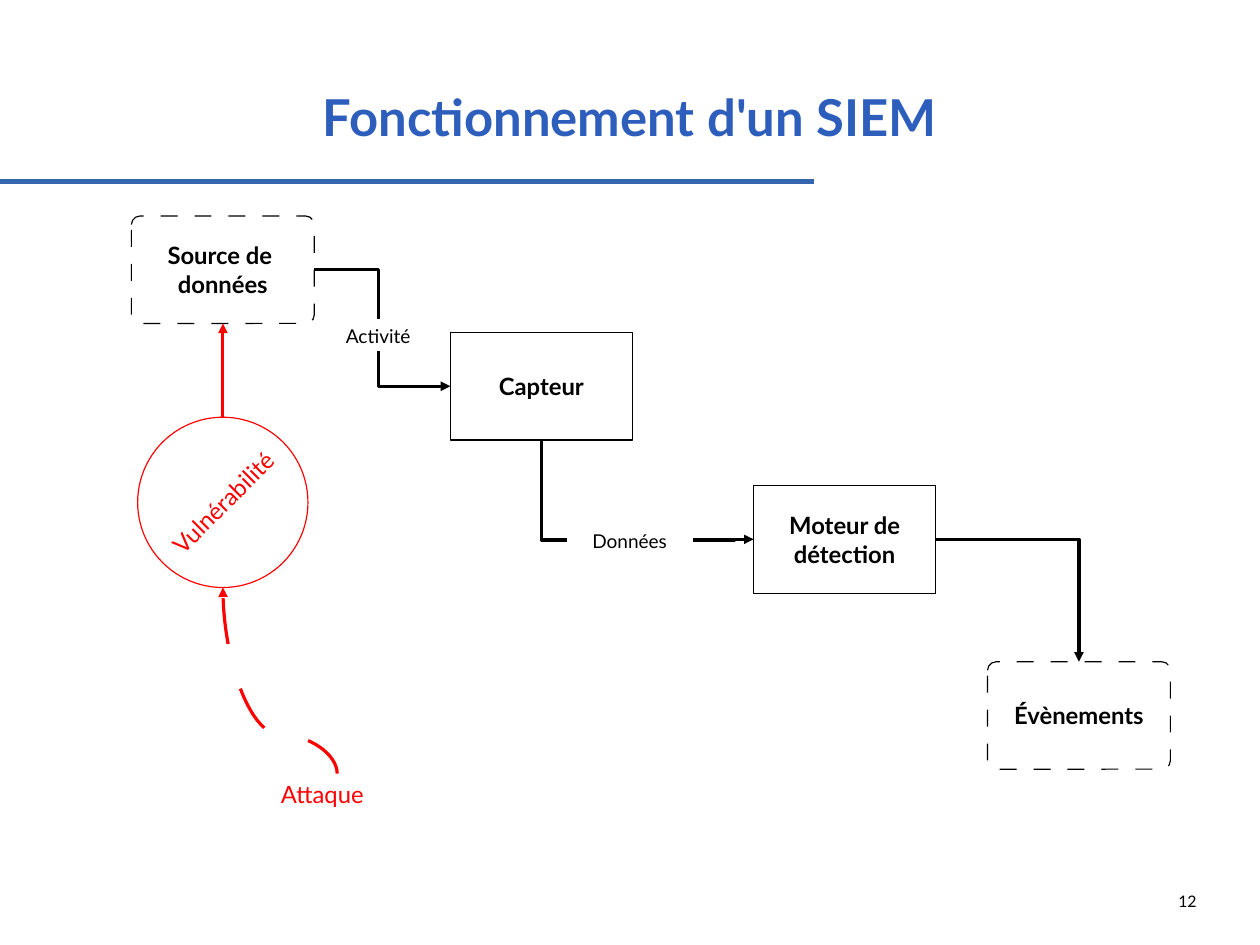
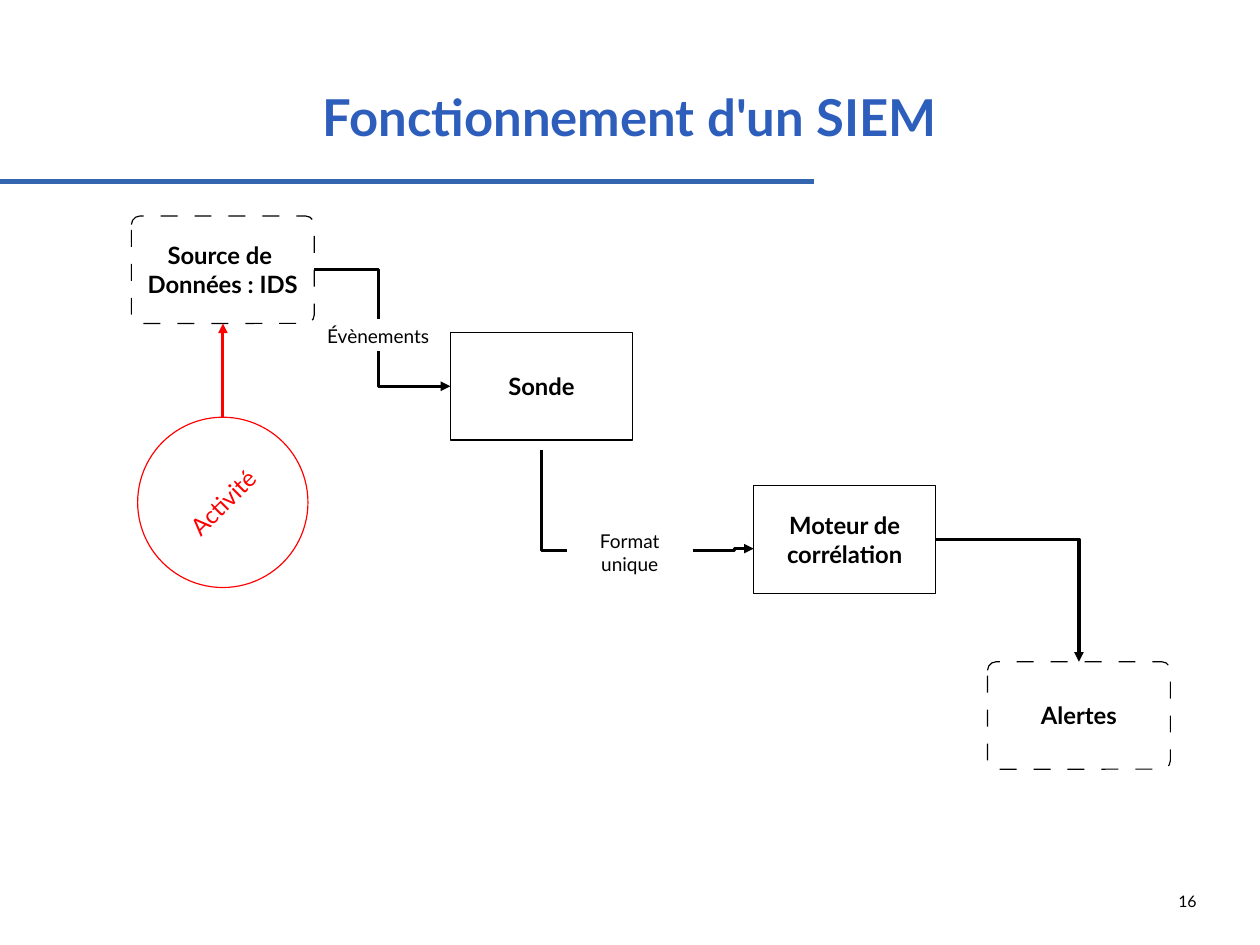
import pptx
import pptx.util
import pptx.dml.color
import pptx.enum.shapes
import pptx.enum.text
import pptx.oxml
import pptx.oxml.ns
from dataclasses import dataclass

Pt = pptx.util.Pt
SHAPES = pptx.enum.shapes.MSO_SHAPE
CONNECTORS = pptx.enum.shapes.MSO_CONNECTOR
ALIGN = pptx.enum.text.PP_ALIGN
ANCHOR = pptx.enum.text.MSO_ANCHOR


@dataclass(frozen=True)
class Theme:
    font: str = "Lato"
    title_color: str = "2D5EBC"
    rule_color: str = "3465AF"
    ink: str = "000000"
    alert: str = "FF0000"
    title_size: float = 32
    body_size: float = 15
    label_size: float = 12
    number_size: float = 10
    hairline: float = 0
    rule_width: float = 2.83
    dash_percent: int = 1450


THEME = Theme()
PAGE = (793.7, 595.3)
TITLE = "Fonctionnement d'un SIEM"

SLIDES = [
    {
        "number": "12",
        "source": "Source de \ndonnées",
        "circle": "Vulnérabilité",
        "sensor": "Capteur",
        "engine": "Moteur de\ndétection",
        "output": "Évènements",
        "first_label": ("Activité", 67.7),
        "second_label": ("Données", 23.8),
        "sensor_gap": 0,
        "feed_y": 340.2,
        "engine_entry_y": 339.8,
        "attack": "Attaque",
    },
    {
        "number": "16",
        "source": "Source de \nDonnées : IDS",
        "circle": "Activité",
        "sensor": "Sonde",
        "engine": "Moteur de\ncorrélation",
        "output": "Alertes",
        "first_label": ("Évènements", 90.7),
        "second_label": ("Format\nunique", 39.6),
        "sensor_gap": 6.3,
        "feed_y": 347,
        "engine_entry_y": 345.6,
        "attack": None,
    },
]

BOX_HEIGHT = 67.7
BOXES = {
    "source": (82.8, 136.1, 115.2, True),
    "sensor": (283.7, 209.5, 114.8, False),
    "engine": (474.7, 306, 114.8, False),
    "output": (622.1, 416.9, 115.2, True),
}
CIRCLE_TOP, CIRCLE_SIZE = 262.8, 107.3
FIRST_LABEL_X, FIRST_LABEL_TOP, FIRST_LABEL_BOTTOM = 238.3, 200.9, 221
SECOND_LABEL = (357.1, 329.8, 79.2)
ATTACK = (169.9, 487.4, 85, 27.4)


def color(value):
    return pptx.dml.color.RGBColor.from_string(value)


def write_text(shape, text, size=THEME.body_size, fill=THEME.ink, bold=False,
               align=ALIGN.CENTER, anchor=ANCHOR.MIDDLE, wrap=False, inset=(7.2, 3.6)):
    frame = shape.text_frame
    frame.word_wrap = wrap
    frame.vertical_anchor = anchor
    frame.margin_left = frame.margin_right = Pt(inset[0])
    frame.margin_top = frame.margin_bottom = Pt(inset[1])
    for index, line in enumerate(text.split("\n")):
        paragraph = frame.paragraphs[0] if index == 0 else frame.add_paragraph()
        paragraph.alignment = align
        run = paragraph.add_run()
        run.text = line
        run.font.name = THEME.font
        run.font.size = Pt(size)
        run.font.bold = bold
        run.font.color.rgb = color(fill)


def add_text(slide, text, frame, **format_options):
    shape = slide.shapes.add_textbox(*map(Pt, frame))
    write_text(shape, text, wrap=True, **format_options)


def add_dashes(line):
    properties = line._get_or_add_ln()
    length = THEME.dash_percent * 1000
    namespace = pptx.oxml.ns.nsdecls("a")
    dashes = pptx.oxml.parse_xml(
        f'<a:custDash {namespace}><a:ds d="{length}" sp="{length}"/></a:custDash>')
    properties.find(pptx.oxml.ns.qn("a:solidFill")).addnext(dashes)


def add_outline(slide, preset, frame, text, stroke=THEME.ink, dashed=False, bold=True):
    shape = slide.shapes.add_shape(preset, *map(Pt, frame))
    shape.shadow.inherit = False
    shape.fill.background()
    shape.line.color.rgb = color(stroke)
    shape.line.width = Pt(THEME.hairline)
    if dashed:
        shape.adjustments[0] = 0.08
        add_dashes(shape.line)
    write_text(shape, text, fill=stroke, bold=bold)
    return shape


def add_line(slide, start, end, kind=CONNECTORS.STRAIGHT, stroke=THEME.ink,
             width=THEME.hairline, arrow=True, dashed=False):
    connector = slide.shapes.add_connector(kind, *map(Pt, (*start, *end)))
    connector.line.color.rgb = color(stroke)
    connector.line.width = Pt(width)
    if dashed:
        add_dashes(connector.line)
    namespace = pptx.oxml.ns.nsdecls("a")
    if arrow:
        connector.line._get_or_add_ln().append(
            pptx.oxml.parse_xml(f'<a:tailEnd {namespace} type="triangle"/>'))
    connector._element.spPr.append(pptx.oxml.parse_xml(f'<a:effectLst {namespace}/>'))
    return connector


def set_route(connector, preset=None, bend=None):
    geometry = connector._element.spPr.find(pptx.oxml.ns.qn("a:prstGeom"))
    if preset:
        geometry.set("prst", preset)
    if bend is not None:
        guides = geometry.get_or_add_avLst()
        guides.append(pptx.oxml.parse_xml(
            f'<a:gd {pptx.oxml.ns.nsdecls("a")} name="adj1" fmla="val {round(bend * 100000)}"/>'))


def turn_upright(connector, start, end, flip):
    across, down = abs(end[0] - start[0]), abs(end[1] - start[1])
    center_x, center_y = (start[0] + end[0]) / 2, (start[1] + end[1]) / 2
    connector.left, connector.top = Pt(center_x - down / 2), Pt(center_y - across / 2)
    connector.width, connector.height = Pt(down), Pt(across)
    transform = connector._element.spPr.find(pptx.oxml.ns.qn("a:xfrm"))
    for name in ("flipH", "flipV"):
        transform.attrib.pop(name, None)
    transform.set("rot", "16200000")
    transform.set(flip, "1")


def add_corner(slide, start, end, down_first=False, arrow=True):
    connector = add_line(slide, start, end, CONNECTORS.ELBOW, arrow=arrow)
    set_route(connector, "bentConnector2")
    if down_first:
        turn_upright(connector, start, end, "flipH")


def add_attack(slide, text, target):
    left, top, width, height = ATTACK
    add_text(slide, text, ATTACK, fill=THEME.alert, align=ALIGN.LEFT, anchor=ANCHOR.TOP)
    start = (left + width / 2, top)
    curve = add_line(slide, start, target, CONNECTORS.CURVE, stroke=THEME.alert, dashed=True)
    set_route(curve, bend=0.21)
    turn_upright(curve, start, target, "flipV")


def add_frame(slide, number):
    add_text(slide, TITLE, (39.7, 23.7, 714.3, 99.2), size=THEME.title_size,
             fill=THEME.title_color, bold=True, inset=(0, 0))
    add_line(slide, (0, 114.5), (512.6, 114.5), stroke=THEME.rule_color,
             width=THEME.rule_width, arrow=False)
    add_text(slide, number, (568.8, 561.6, 185, 22.3), size=THEME.number_size,
             align=ALIGN.RIGHT, anchor=ANCHOR.TOP, inset=(0, 0))


def add_diagram(slide, content):
    boxes, middle_x, middle_y = {}, {}, {}
    for name, (left, top, width, dashed) in BOXES.items():
        preset = SHAPES.ROUNDED_RECTANGLE if dashed else SHAPES.RECTANGLE
        boxes[name] = add_outline(slide, preset, (left, top, width, BOX_HEIGHT),
                                  content[name], dashed=dashed)
        middle_x[name], middle_y[name] = left + width / 2, top + BOX_HEIGHT / 2

    def right_of(name):
        return BOXES[name][0] + BOXES[name][2], middle_y[name]

    axis = middle_x["source"]
    circle = add_outline(slide, SHAPES.OVAL,
                         (axis - CIRCLE_SIZE / 2, CIRCLE_TOP, CIRCLE_SIZE, CIRCLE_SIZE),
                         content["circle"], stroke=THEME.alert, bold=False)
    circle.rotation = 315
    rise = add_line(slide, (axis, CIRCLE_TOP), (axis, BOXES["source"][1] + BOX_HEIGHT),
                    stroke=THEME.alert)
    rise.end_connect(boxes["source"], 2)
    if content["attack"]:
        add_attack(slide, content["attack"], (axis, CIRCLE_TOP + CIRCLE_SIZE))

    text, width = content["first_label"]
    add_text(slide, text, (FIRST_LABEL_X - width / 2, FIRST_LABEL_TOP, width, 23.8),
             size=THEME.label_size, anchor=ANCHOR.TOP)
    add_corner(slide, right_of("source"), (FIRST_LABEL_X, FIRST_LABEL_TOP), arrow=False)
    add_corner(slide, (FIRST_LABEL_X, FIRST_LABEL_BOTTOM),
               (BOXES["sensor"][0], middle_y["sensor"]), down_first=True)

    text, height = content["second_label"]
    left, top, width = SECOND_LABEL
    add_text(slide, text, (left, top, width, height), size=THEME.label_size, anchor=ANCHOR.TOP)
    feed_y = content["feed_y"]
    sensor_exit = BOXES["sensor"][1] + BOX_HEIGHT + content["sensor_gap"]
    add_corner(slide, (middle_x["sensor"], sensor_exit), (left, feed_y),
               down_first=True, arrow=False)
    feed = add_line(slide, (left + width, feed_y),
                    (BOXES["engine"][0], content["engine_entry_y"]), CONNECTORS.ELBOW)
    set_route(feed, bend=0.69)
    add_corner(slide, right_of("engine"), (middle_x["output"], BOXES["output"][1]))


def main():
    presentation = pptx.Presentation()
    presentation.slide_width, presentation.slide_height = map(Pt, PAGE)
    for content in SLIDES:
        slide = presentation.slides.add_slide(presentation.slide_layouts[6])
        add_frame(slide, content["number"])
        add_diagram(slide, content)
    presentation.save("out.pptx")


if __name__ == "__main__":
    main()
